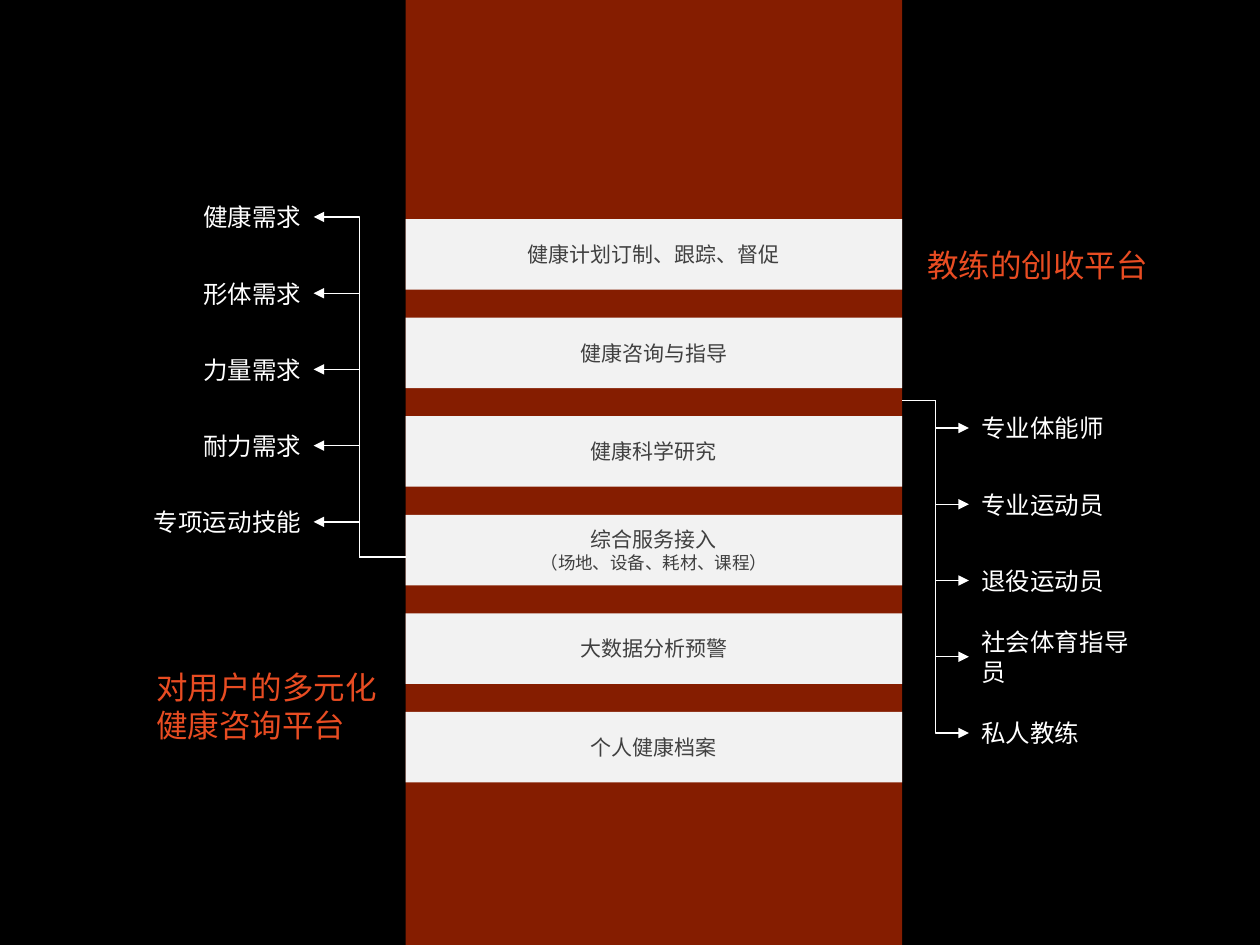
from dataclasses import dataclass

from lxml import etree
from pptx import Presentation
from pptx.dml.color import RGBColor
from pptx.enum.shapes import MSO_CONNECTOR, MSO_SHAPE
from pptx.enum.text import MSO_ANCHOR, PP_ALIGN
from pptx.oxml.ns import qn
from pptx.util import Inches, Pt

RECTANGLE = MSO_SHAPE.RECTANGLE
ELBOW = MSO_CONNECTOR.ELBOW
MIDDLE = MSO_ANCHOR.MIDDLE
LEFT, CENTER, RIGHT = PP_ALIGN.LEFT, PP_ALIGN.CENTER, PP_ALIGN.RIGHT

# The slide is a grid of 100 columns by 75 rows
SLIDE_WIDTH, SLIDE_HEIGHT = Inches(10), Inches(7.5)
COLUMN, ROW = SLIDE_WIDTH / 100, SLIDE_HEIGHT / 75
CELLS_PER_POINT = 10 / 72


@dataclass(frozen=True)
class Theme:
    font: str = "Noto Sans CJK SC"
    background: str = "000000"
    pillar: str = "851D00"
    bar: str = "F2F2F2"
    bar_text: str = "404040"
    label: str = "FFFFFF"
    heading: str = "E84C22"
    heading_size: int = 18
    label_size: int = 14
    bar_size: int = 12
    note_size: int = 10
    line_width: float = 0.75


@dataclass(frozen=True)
class Box:
    left: float
    top: float
    width: float
    height: float

    @property
    def right(self):
        return self.left + self.width

    def emu(self):
        return (round(self.left * COLUMN), round(self.top * ROW),
                round(self.width * COLUMN), round(self.height * ROW))


THEME = Theme()
PILLAR = Box(32.2, 0, 39.4, 75)
SERVICES = [
    ["健康计划订制、跟踪、督促"],
    ["健康咨询与指导"],
    ["健康科学研究"],
    ["综合服务接入", "（场地、设备、耗材、课程）"],
    ["大数据分析预警"],
    ["个人健康档案"],
]
DEMANDS = ["健康需求", "形体需求", "力量需求", "耐力需求", "专项运动技能"]
COACHES = ["专业体能师", "专业运动员", "退役运动员", "社会体育指导员", "私人教练"]


def color(value):
    return RGBColor.from_string(value)


def write_lines(frame, lines, sizes, ink, align):
    frame.word_wrap = False
    for index, (line, size) in enumerate(zip(lines, sizes)):
        para = frame.paragraphs[0] if index == 0 else frame.add_paragraph()
        para.alignment = align
        span = para.add_run()
        span.text = line
        span.font.name = THEME.font
        span.font.size = Pt(size)
        span.font.color.rgb = color(ink)
        east_asian = etree.SubElement(span.font._element, qn("a:ea"))
        east_asian.set("typeface", THEME.font)


def add_rectangle(page, box, fill):
    shape = page.shapes.add_shape(RECTANGLE, *box.emu())
    shape.shadow.inherit = False
    shape.fill.solid()
    shape.fill.fore_color.rgb = color(fill)
    shape.line.fill.background()
    return shape


def add_text(page, anchor, middle, lines, size, ink, align=LEFT):
    """Size a text box to its characters; anchor is its aligned edge."""
    width = 2 + max(map(len, lines)) * size * CELLS_PER_POINT
    height = 1 + len(lines) * size * 1.23 * CELLS_PER_POINT
    left = anchor - width if align == RIGHT else anchor
    box = Box(left, middle - height / 2, width, height)
    frame = page.shapes.add_textbox(*box.emu()).text_frame
    frame.vertical_anchor = MIDDLE
    write_lines(frame, lines, [size] * len(lines), ink, align)


def add_arrow(page, start, end):
    (x1, y1), (x2, y2) = start, end
    arrow = page.shapes.add_connector(
        ELBOW, round(x1 * COLUMN), round(y1 * ROW), round(x2 * COLUMN), round(y2 * ROW))
    arrow.line.color.rgb = color(THEME.label)
    arrow.line.width = Pt(THEME.line_width)
    tail = etree.SubElement(arrow.line._get_or_add_ln(), qn("a:tailEnd"))
    tail.set("type", "triangle")
    etree.SubElement(arrow._element.spPr, qn("a:effectLst"))


def build_services(page, box, services):
    """Stack evenly spaced bars from the top of the box to its bottom."""
    bar_height = 5.6
    pitch = (box.height - bar_height) / (len(services) - 1)
    for index, lines in enumerate(services):
        bar = add_rectangle(
            page, Box(box.left, box.top + index * pitch, box.width, bar_height), THEME.bar)
        bar.text_frame.vertical_anchor = MIDDLE
        write_lines(bar.text_frame, lines, [THEME.bar_size, THEME.note_size],
                    THEME.bar_text, CENTER)


def build_branch(page, box, labels, hub, align):
    """Fan arrows out from the hub to one label in each row of the box."""
    pitch = box.height / len(labels)
    edge = box.right if align == RIGHT else box.left
    for index, label in enumerate(labels):
        middle = box.top + (index + 0.5) * pitch
        add_arrow(page, hub, (edge, middle))
        add_text(page, edge, middle, [label], THEME.label_size, THEME.label, align)


def main():
    deck = Presentation()
    deck.slide_width, deck.slide_height = SLIDE_WIDTH, SLIDE_HEIGHT
    page = deck.slides.add_slide(deck.slide_layouts[6])
    page.background.fill.solid()
    page.background.fill.fore_color.rgb = color(THEME.background)

    # Central pillar of services
    add_rectangle(page, PILLAR, THEME.pillar)
    build_services(page, Box(PILLAR.left, 17.4, PILLAR.width, 44.7), SERVICES)

    # Coaches on the right, user demands on the left
    build_branch(page, Box(76.9, 30.95, 15.8, 30.25), COACHES,
                 (PILLAR.right, 31.8), LEFT)
    build_branch(page, Box(9.4, 14.2, 15.5, 30.25), DEMANDS,
                 (PILLAR.left, 44.2), RIGHT)

    # Platform headings
    for left, middle, lines in [(72.6, 21, ["教练的创收平台"]),
                                (11.4, 56, ["对用户的多元化", "健康咨询平台"])]:
        add_text(page, left, middle, lines, THEME.heading_size, THEME.heading)

    deck.save("out.pptx")


if __name__ == "__main__":
    main()
